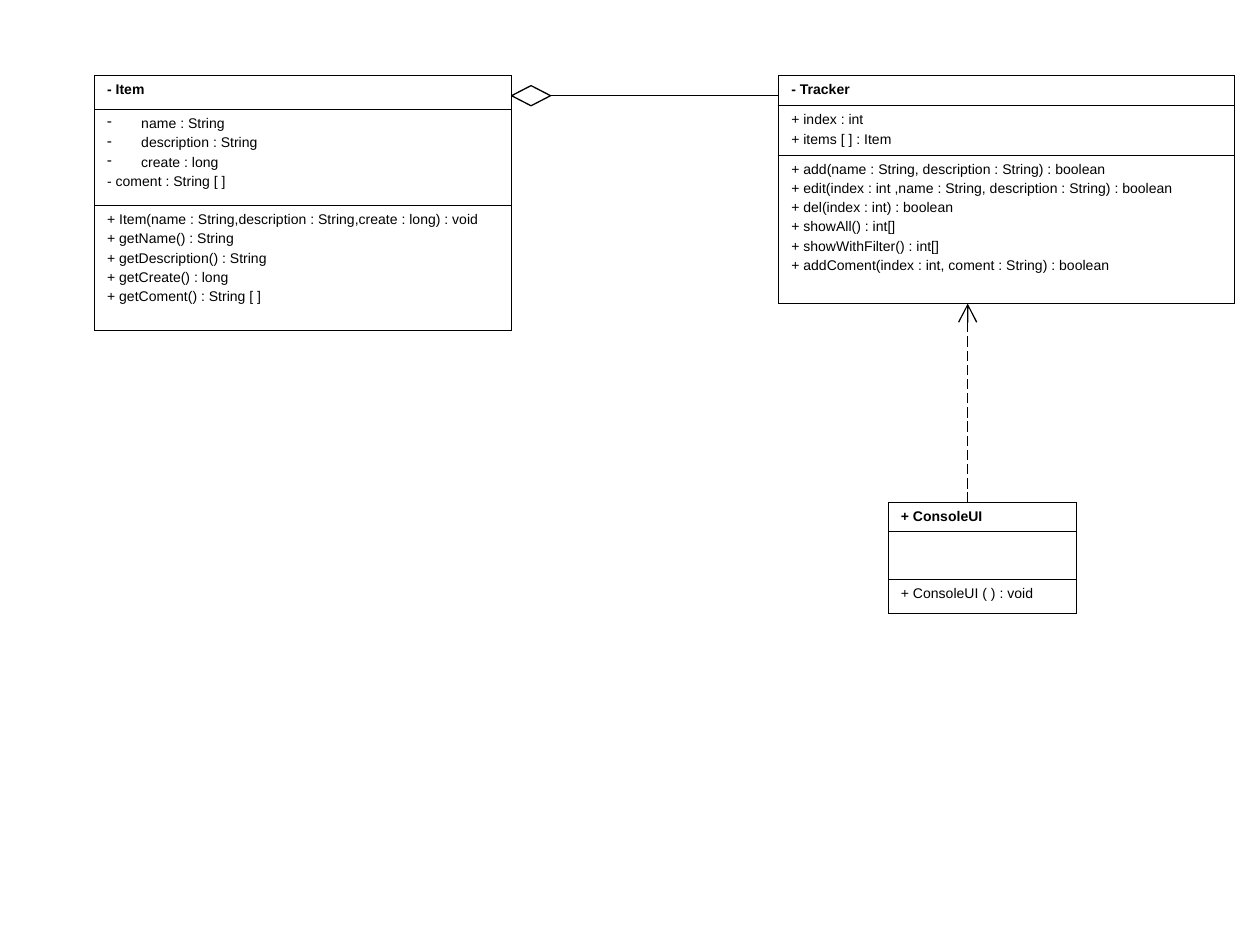
from pptx import Presentation
from pptx.dml.color import RGBColor
from pptx.enum.dml import MSO_LINE
from pptx.enum.shapes import MSO_CONNECTOR as Wire, MSO_SHAPE as Kind
from pptx.oxml.ns import qn
from pptx.util import Inches, Pt
from lxml.etree import SubElement as Sub

INK = "000000"
FONT = "Arial"
BULLET = "• "

CLASSES = [
    (0.75, 0.6, 3.31, [
        (0.27, ["- Item"]),
        (0.76, [BULLET + " name : String", BULLET + " description : String",
                BULLET + " create : long", "- coment : String [ ]"]),
        (0.99, ["+ Item(name : String,description : String,create : long) : void",
                "+ getName() : String", "+ getDescription() : String",
                "+ getCreate() : long", "+ getComent() : String [ ]"]),
    ]),
    (6.18, 0.6, 3.62, [
        (0.24, ["- Tracker"]),
        (0.39, ["+ index : int", "+ items [ ] : Item"]),
        (1.18, ["+ add(name : String, description : String) : boolean",
                "+ edit(index : int ,name : String, description : String) : boolean",
                "+ del(index : int) : boolean", "+ showAll() : int[]",
                "+ showWithFilter() : int[]",
                "+ addComent(index : int, coment : String) : boolean"]),
    ]),
    (7.05, 3.99, 1.49, [
        (0.23, ["+ ConsoleUI"]),
        (0.38, [""]),
        (0.27, ["+ ConsoleUI ( ) : void"]),
    ]),
]


def color(code):
    return RGBColor.from_string(code)


def frame(cell):
    props = cell._tc.get_or_add_tcPr()
    for side in ("lnL", "lnR", "lnT", "lnB"):
        edge = Sub(props, qn("a:" + side), w=str(Pt(0.45)))
        fill = Sub(edge, qn("a:solidFill"))
        Sub(fill, qn("a:srgbClr"), val=INK)
    cell.fill.background()


def write(para, text, bold):
    props = para._p.get_or_add_pPr()
    para.space_before = Pt(2)
    if text.startswith(BULLET):
        text = text.removeprefix(BULLET)
        props.set("marL", str(Inches(0.24)))
        props.set("indent", str(-Inches(0.24)))
        Sub(props, qn("a:buChar"), char="-")
    para.text = text
    font = para.font
    font.name, font.size, font.bold = FONT, Pt(8), bold
    font.color.rgb = color(INK)


def add_class(slide, left, top, width, parts):
    high = sum(part[0] for part in parts)
    table = slide.shapes.add_table(
        len(parts), 1, Inches(left), Inches(top), Inches(width), Inches(high)).table
    table.first_row = table.horz_banding = False
    for num, (tall, lines) in enumerate(parts):
        table.rows[num].height = Inches(tall)
        cell = table.cell(num, 0)
        frame(cell)
        box = cell.text_frame
        for pos, text in enumerate(lines):
            para = box.add_paragraph() if pos else box.paragraphs[0]
            write(para, text, num == 0)


def add_link(slide, *ends):
    link = slide.shapes.add_connector(Wire.STRAIGHT, *map(Inches, ends))
    link.line.color.rgb = color(INK)
    link.line.width = Pt(0.75)
    Sub(link._element.spPr, qn("a:effectLst"))
    return link


deck = Presentation()
deck.slide_width, deck.slide_height = Inches(10), Inches(7.5)
slide = deck.slides.add_slide(deck.slide_layouts[6])

for item in CLASSES:
    add_class(slide, *item)

owns = add_link(slide, 4.37, 0.76, 6.18, 0.76)
gem = slide.shapes.add_shape(
    Kind.DIAMOND, Inches(4.06), Inches(0.68), Inches(0.31), Inches(0.16))
gem.shadow.inherit = False
gem.fill.background()
gem.line.color.rgb = color(INK)
gem.line.width = Pt(0.75)
owns.begin_connect(gem, 3)

uses = add_link(slide, 7.68, 3.99, 7.68, 2.41)
uses.line.dash_style = MSO_LINE.LONG_DASH
Sub(uses.line._get_or_add_ln(), qn("a:tailEnd"), type="arrow", w="lg", len="lg")

deck.save("out.pptx")
